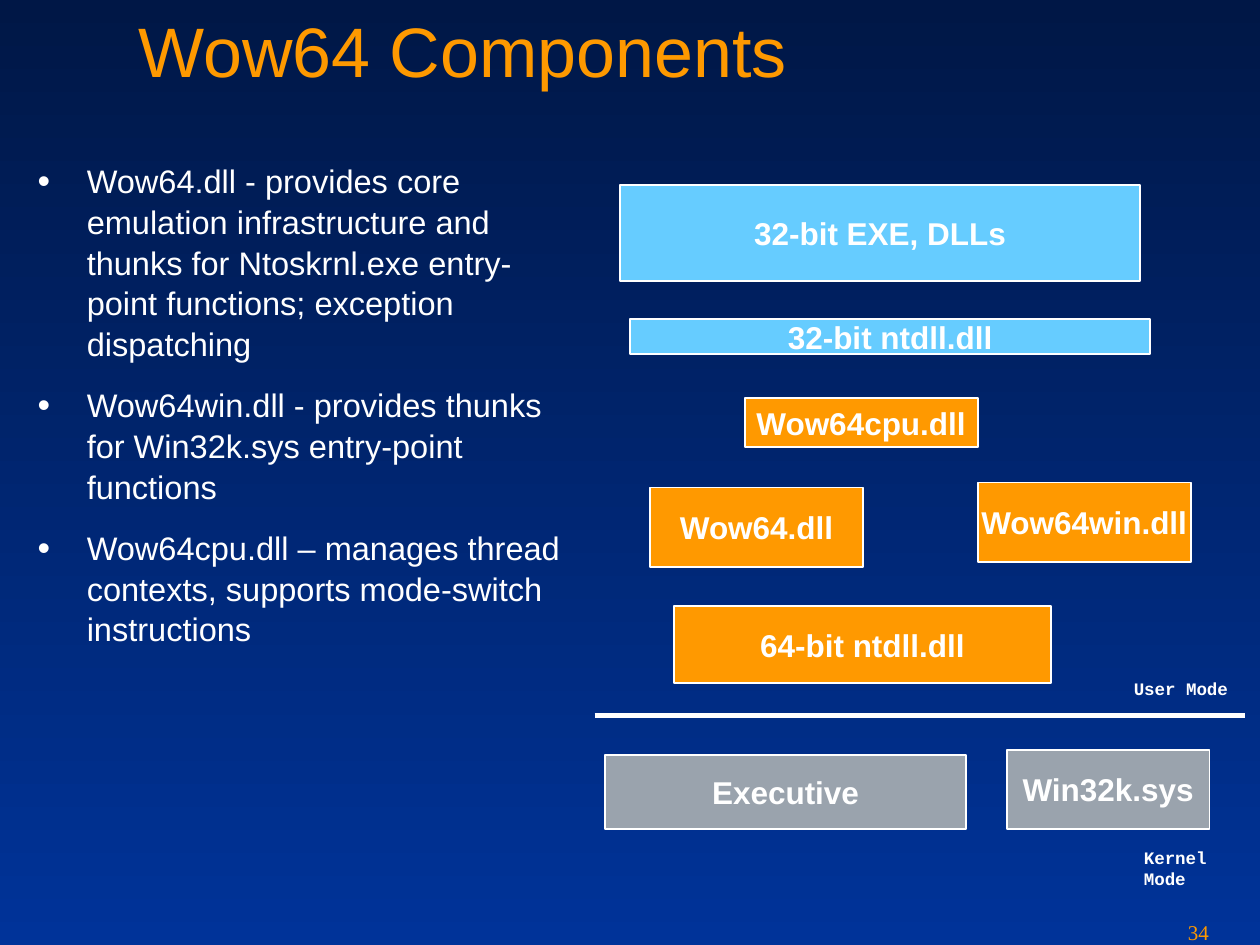
"""Builds the Wow64 Components slide."""
from lxml.etree import SubElement
from pptx import Presentation
from pptx.dml.color import RGBColor
from pptx.enum.shapes import MSO_CONNECTOR, MSO_SHAPE
from pptx.enum.text import MSO_ANCHOR, MSO_AUTO_SIZE, PP_ALIGN
from pptx.oxml.ns import qn
from pptx.util import Inches, Pt

WHITE, AMBER, ORANGE = "FFFFFF", "FE9900", "FF9900"
SKY, GREY = "66CCFF", "9AA3AD"
BACKGROUND = ("001746", "003399")

TITLE = ("Wow64 Components", (1, 0.01, 7.83, 1.25))
BULLETS = [
    "Wow64.dll - provides core emulation infrastructure and thunks for "
    "Ntoskrnl.exe entry-point functions; exception dispatching",
    "Wow64win.dll - provides thunks for Win32k.sys entry-point functions",
    "Wow64cpu.dll – manages thread contexts, supports mode-switch instructions",
]
BULLETS_AREA = (0.2, 1.22, 4.35, 3.94)
COMPONENTS = [
    ("64-bit ntdll.dll", ORANGE, (5.35, 4.81, 2.99, 0.61)),
    ("Wow64.dll", ORANGE, (5.16, 3.87, 1.69, 0.63)),
    ("Wow64win.dll", ORANGE, (7.76, 3.83, 1.69, 0.63)),
    ("Wow64cpu.dll", ORANGE, (5.91, 3.16, 1.85, 0.39)),
    ("Win32k.sys", GREY, (7.99, 5.95, 1.61, 0.63)),
    ("Executive", GREY, (4.8, 5.99, 2.87, 0.59)),
    ("32-bit ntdll.dll", SKY, (5, 2.53, 4.13, 0.28)),
    ("32-bit EXE, DLLs", SKY, (4.92, 1.47, 4.13, 0.76)),
]
LABELS = [
    ("Kernel Mode", (8.98, 6.67, 1.02, 0.44), 10, "Courier New", WHITE, True),
    ("User Mode", (8.9, 5.33, 1.1, 0.27), 10, "Courier New", WHITE, True),
    ("34", (9.33, 7.25, 0.67, 0.25), 12, "Times New Roman", AMBER, False),
]
MODE_BOUNDARY = (4.72, 5.68, 9.88, 5.68)


def color(value):
    return RGBColor.from_string(value)


def inches(values):
    return [Inches(value) for value in values]


def format_font(paragraph, size, name, value, bold=False):
    for run in paragraph.runs:
        run.font.size, run.font.name, run.font.bold = Pt(size), name, bold
        run.font.color.rgb = color(value)


def paint_background(slide):
    fill = slide.background.fill
    fill.gradient()
    fill.gradient_angle = 270
    for stop, value in zip(fill.gradient_stops, BACKGROUND):
        stop.color.rgb = color(value)


def add_title(slide):
    text, area = TITLE
    title = slide.shapes.title
    title.left, title.top, title.width, title.height = inches(area)
    frame = title.text_frame
    frame.text = text
    frame.auto_size = MSO_AUTO_SIZE.NONE
    frame.vertical_anchor = MSO_ANCHOR.TOP
    frame.paragraphs[0].alignment = PP_ALIGN.LEFT
    format_font(frame.paragraphs[0], 40, "Arial", AMBER)


def add_component(slide, text, fill, area):
    shape = slide.shapes.add_shape(MSO_SHAPE.RECTANGLE, *inches(area))
    shape.shadow.inherit = False
    shape.fill.solid()
    shape.fill.fore_color.rgb = color(fill)
    shape.line.color.rgb = color(WHITE)
    shape.line.width = Pt(1)
    frame = shape.text_frame
    frame.text = text
    frame.word_wrap = False
    frame.vertical_anchor = MSO_ANCHOR.MIDDLE
    frame.paragraphs[0].alignment = PP_ALIGN.CENTER
    format_font(frame.paragraphs[0], 18, "Arial", WHITE, True)


def add_text(slide, text, area):
    frame = slide.shapes.add_textbox(*inches(area)).text_frame
    frame.word_wrap = True
    frame.text = text
    return frame


def add_boundary(slide):
    line = slide.shapes.add_connector(MSO_CONNECTOR.STRAIGHT, *inches(MODE_BOUNDARY))
    line.line.color.rgb = color(WHITE)
    line.line.width = Pt(3)
    SubElement(line._element.spPr, qn("a:effectLst"))


def add_bullets(slide):
    frame = add_text(slide, "\n".join(BULLETS), BULLETS_AREA)
    for index, paragraph in enumerate(frame.paragraphs):
        paragraph.line_spacing = 1.04
        paragraph.space_before = Pt(6 if index else 0)
        paragraph.space_after = Pt(6)
        properties = paragraph._p.get_or_add_pPr()
        properties.set("marL", str(Inches(0.39)))
        properties.set("indent", str(-Inches(0.39)))
        bullet_color = SubElement(properties, qn("a:buClr"))
        SubElement(bullet_color, qn("a:srgbClr"), val=WHITE)
        SubElement(properties, qn("a:buSzPct"), val="110000")
        SubElement(properties, qn("a:buFont"), typeface="Arial")
        SubElement(properties, qn("a:buChar"), char="•")
        format_font(paragraph, 18.6, "Arial", WHITE)


def main():
    presentation = Presentation()
    presentation.slide_width, presentation.slide_height = inches((10, 7.5))
    slide = presentation.slides.add_slide(presentation.slide_layouts[5])
    paint_background(slide)
    add_title(slide)
    for component in COMPONENTS:
        add_component(slide, *component)
    add_boundary(slide)
    add_bullets(slide)
    for text, area, *font in LABELS:
        frame = add_text(slide, text, area)
        format_font(frame.paragraphs[0], *font)
    presentation.save("out.pptx")


if __name__ == "__main__":
    main()
